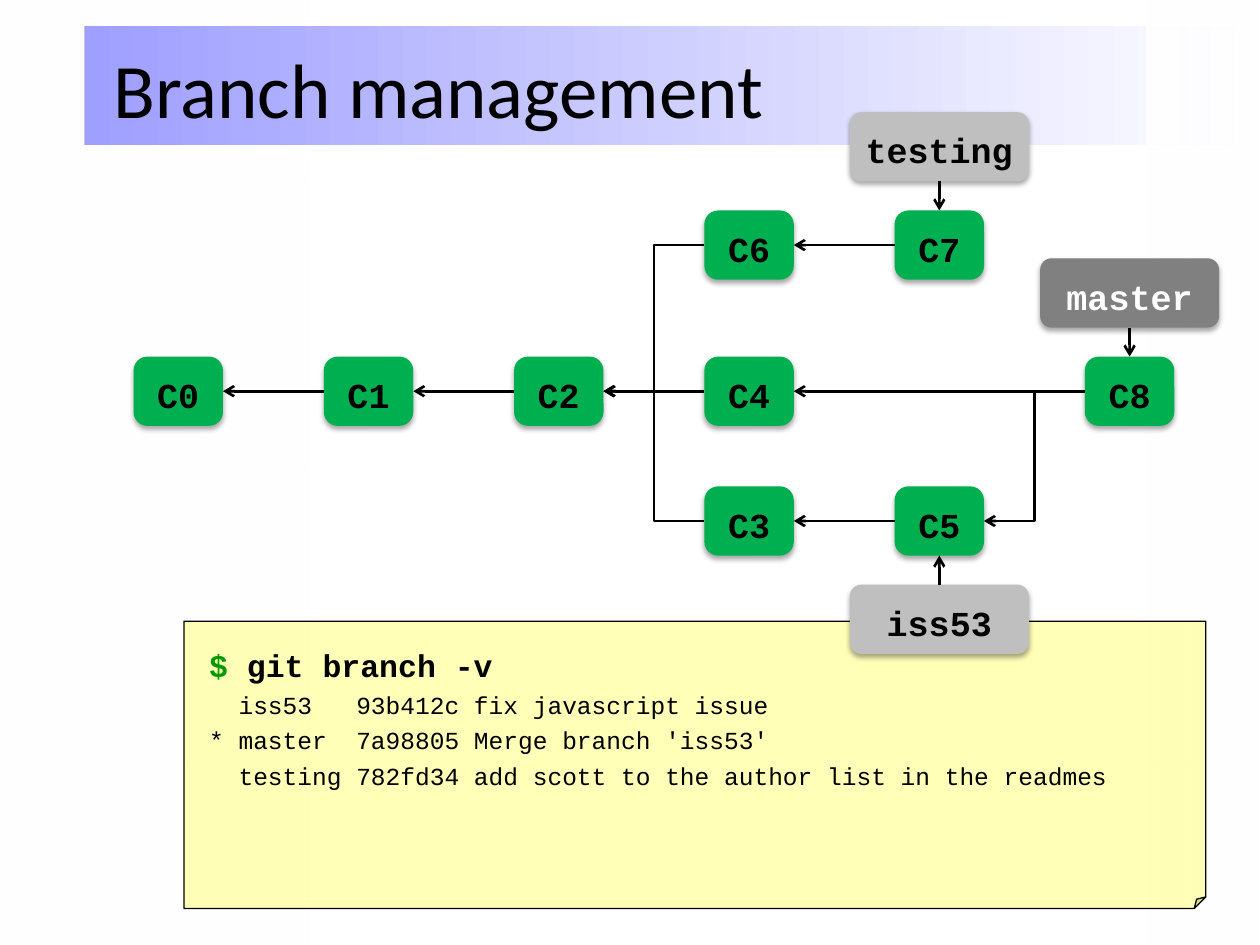
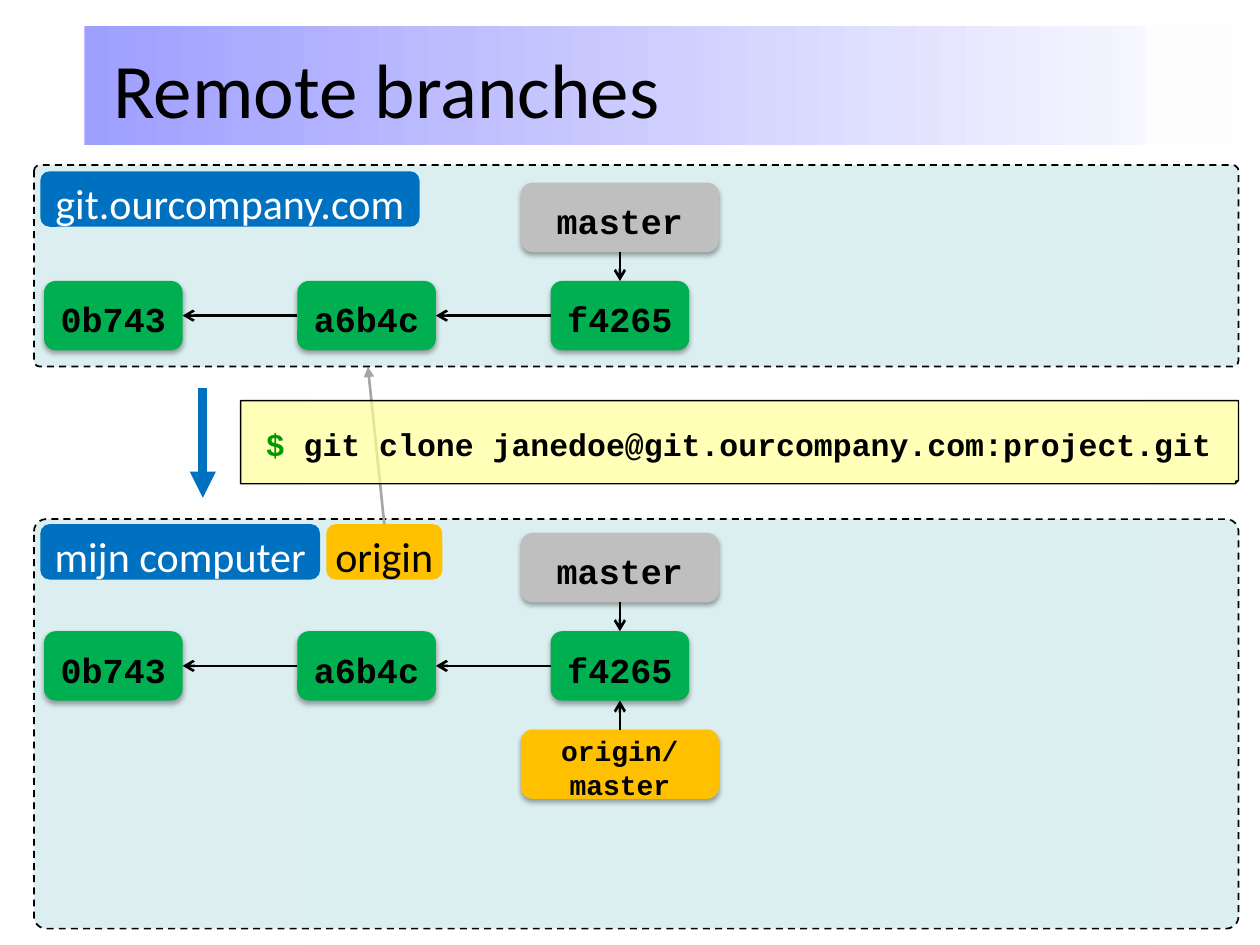
from dataclasses import dataclass
from typing import NamedTuple, Optional

from lxml import etree
from pptx import Presentation
from pptx.dml.color import RGBColor
from pptx.enum.dml import MSO_LINE
from pptx.enum.shapes import MSO_CONNECTOR, MSO_SHAPE
from pptx.enum.text import MSO_ANCHOR, PP_ALIGN
from pptx.oxml.ns import qn
from pptx.util import Emu, Inches, Pt

# Enum members
RECTANGLE = MSO_SHAPE.RECTANGLE
ROUNDED = MSO_SHAPE.ROUNDED_RECTANGLE
FOLDED = MSO_SHAPE.FOLDED_CORNER
STRAIGHT, ELBOW = MSO_CONNECTOR.STRAIGHT, MSO_CONNECTOR.ELBOW
LEFT_ALIGN, CENTER_ALIGN = PP_ALIGN.LEFT, PP_ALIGN.CENTER
TOP_ANCHOR, MIDDLE_ANCHOR = MSO_ANCHOR.TOP, MSO_ANCHOR.MIDDLE
DASH = MSO_LINE.DASH
TOP, LEFT, BOTTOM, RIGHT = range(4)

# Colours and fonts
BLACK = RGBColor(0x00, 0x00, 0x00)
WHITE = RGBColor(0xFF, 0xFF, 0xFF)
LAVENDER = RGBColor(0x9F, 0x9F, 0xFF)
GREEN = RGBColor(0x00, 0xB0, 0x50)
PROMPT_GREEN = RGBColor(0x00, 0x99, 0x00)
DARK_GREY = RGBColor(0x80, 0x80, 0x80)
MID_GREY = RGBColor(0xA6, 0xA6, 0xA6)
LIGHT_GREY = RGBColor(0xBF, 0xBF, 0xBF)
BLUE = RGBColor(0x00, 0x70, 0xC0)
ORANGE = RGBColor(0xFF, 0xC0, 0x00)
PALE_YELLOW = RGBColor(0xFF, 0xFF, 0x99)
PALE_TEAL = RGBColor(0xBB, 0xE0, 0xE3)
SANS, MONO = "Calibri", "Courier New"

# Shared measures, in inches
SLIDE_WIDTH, SLIDE_HEIGHT = 10, 7.5
NODE_HEIGHT = 0.55
REF_GAP = 0.23
PANEL_LEFT, PANEL_WIDTH = 0.27, 9.56


class Area(NamedTuple):
    left: float
    top: float
    width: float
    height: float


class Band(NamedTuple):
    area: Area
    start: RGBColor
    end: RGBColor
    clear_stop: Optional[int]


@dataclass(frozen=True)
class BoxStyle:
    fill: RGBColor
    ink: RGBColor = BLACK
    font: str = MONO
    size: int = 20
    bold: bool = True
    shadow: bool = True
    wrap: bool = True
    align: PP_ALIGN = CENTER_ALIGN
    top_inset: float = 0.1


@dataclass(frozen=True)
class CommitGrid:
    left: float
    pitch: float
    commit_width: float
    ref_width: float
    corner: Optional[float] = None

    def commit(self, column: int, top: float) -> Area:
        return Area(self.left + column * self.pitch, top, self.commit_width, NODE_HEIGHT)

    def ref(self, column: int, commit_top: float, above: bool) -> Area:
        """Place a branch label above or below the commit it points to."""
        left = self.left + column * self.pitch + (self.commit_width - self.ref_width) / 2
        step = NODE_HEIGHT + REF_GAP
        return Area(left, commit_top + (-step if above else step), self.ref_width, NODE_HEIGHT)


BANDS = (
    Band(Area(0, 0, 2.45, SLIDE_HEIGHT), WHITE, WHITE, 0),
    Band(Area(0.67, 0.21, 9.33, 0.94), LAVENDER, WHITE, None),
    Band(Area(9.1, 0, 0.89, SLIDE_HEIGHT), WHITE, WHITE, 1),
)
COMMIT = BoxStyle(GREEN)
BRANCH = BoxStyle(LIGHT_GREY)
CURRENT_BRANCH = BoxStyle(DARK_GREY, WHITE)
REMOTE_BRANCH = BoxStyle(ORANGE, size=16)
HOST = BoxStyle(BLUE, WHITE, SANS, 24, False, False, False, top_inset=0.11)
SERVER = BoxStyle(BLUE, WHITE, SANS, 24, False, False, False, LEFT_ALIGN, 0.11)
REMOTE = BoxStyle(ORANGE, BLACK, SANS, 24, False, False, False, top_inset=0.11)


# Drawing helpers
def set_alpha(shape, percent: int, index: int = 0) -> None:
    color = list(shape.element.spPr.iter(qn("a:srgbClr")))[index]
    etree.SubElement(color, qn("a:alpha"), val=str(percent * 1000))


def set_corner(shape, share: float) -> None:
    """Set the corner size in XML, since folded corners expose no adjustments."""
    guides = next(shape.element.spPr.iter(qn("a:avLst")))
    for guide in list(guides):
        guides.remove(guide)
    etree.SubElement(guides, qn("a:gd"), name="adj", fmla=f"val {round(share * 100000)}")


def add_soft_shadow(shape) -> None:
    effects = shape.element.spPr.find(qn("a:effectLst"))
    shadow = etree.SubElement(effects, qn("a:outerShdw"), blurRad=str(Pt(3.1)),
                              dist=str(Pt(1.8)), dir="5400000", rotWithShape="0")
    color = etree.SubElement(shadow, qn("a:srgbClr"), val=str(BLACK))
    etree.SubElement(color, qn("a:alpha"), val="35000")


def add_plain_shape(page, kind, area: Area, corner: Optional[float] = None):
    shape = page.shapes.add_shape(kind, *(Inches(length) for length in area))
    shape.shadow.inherit = False
    shape.line.fill.background()
    if corner is not None:
        set_corner(shape, corner)
    return shape


def add_tinted_shape(page, kind, area: Area, corner: float, fill: RGBColor,
                     opacity: int, line_width: float):
    shape = add_plain_shape(page, kind, area, corner)
    shape.fill.solid()
    shape.fill.fore_color.rgb = fill
    set_alpha(shape, opacity)
    shape.line.color.rgb = BLACK
    shape.line.width = Pt(line_width)
    return shape


def add_span(para, text: str, font: str, size: int, color: RGBColor, bold: bool) -> None:
    span = para.add_run()
    span.text = text
    span.font.name, span.font.size, span.font.bold = font, Pt(size), bold
    span.font.color.rgb = color


def add_box(page, text: str, area: Area, style: BoxStyle, corner: Optional[float] = None):
    box = add_plain_shape(page, ROUNDED, area, corner)
    box.fill.solid()
    box.fill.fore_color.rgb = style.fill
    if style.shadow:
        add_soft_shadow(box)
    frame = box.text_frame
    frame.word_wrap = style.wrap
    frame.vertical_anchor = MIDDLE_ANCHOR
    frame.margin_left = frame.margin_right = Inches(0.1)
    frame.margin_top, frame.margin_bottom = Inches(style.top_inset), Inches(0.05)
    para = frame.paragraphs[0]
    para.alignment = style.align
    for number, line in enumerate(text.split("\n")):
        if number:
            para.add_line_break()
        add_span(para, line, style.font, style.size, style.ink, style.bold)
    return box


def add_terminal(page, area: Area, command: str, output: tuple[str, ...] = ()) -> None:
    """Draw a yellow note with a shell command and what it prints."""
    note = add_tinted_shape(page, FOLDED, area, 0.04, PALE_YELLOW, 70, 0.75)
    frame = note.text_frame
    frame.word_wrap = False
    frame.vertical_anchor = TOP_ANCHOR
    frame.margin_left = frame.margin_right = frame.margin_bottom = Inches(0.2)
    frame.margin_top = Inches(0.24)
    para = frame.paragraphs[0]
    add_span(para, "$ ", MONO, 18, PROMPT_GREEN, True)
    add_span(para, command, MONO, 18, BLACK, True)
    for line in output:
        para = frame.add_paragraph()
        para.space_before = Pt(3)
        add_span(para, line, MONO, 14, BLACK, False)
    for para in frame.paragraphs:
        para.alignment = LEFT_ALIGN
        para.line_spacing = 0.85
        para.space_after = Pt(3)


def add_panel(page, top: float, height: float) -> None:
    panel = add_tinted_shape(page, ROUNDED, Area(PANEL_LEFT, top, PANEL_WIDTH, height),
                             0.03, PALE_TEAL, 50, 1)
    panel.line.dash_style = DASH


def side_point(box, side: int) -> tuple[Emu, Emu]:
    across = {LEFT: 0, RIGHT: box.width}.get(side, box.width // 2)
    down = {TOP: 0, BOTTOM: box.height}.get(side, box.height // 2)
    return Emu(box.left + across), Emu(box.top + down)


def add_line(page, start, end, kind=STRAIGHT, color: RGBColor = BLACK,
             width: float = 1.5, head: str = "arrow"):
    line = page.shapes.add_connector(kind, *start, *end)
    line.line.color.rgb = color
    line.line.width = Pt(width)
    properties = line.element.spPr
    etree.SubElement(properties.find(qn("a:ln")), qn("a:tailEnd"), type=head)
    etree.SubElement(properties, qn("a:effectLst"))
    return line


def add_arrow(page, source, target, from_side: int = LEFT, to_side: int = RIGHT,
              kind=STRAIGHT) -> None:
    line = add_line(page, side_point(source, from_side), side_point(target, to_side), kind)
    if kind == STRAIGHT:
        line.begin_connect(source, from_side)
        line.end_connect(target, to_side)


def add_ref(page, grid: CommitGrid, name: str, style: BoxStyle, commit, column: int,
            commit_top: float, above: bool = True) -> None:
    ref = add_box(page, name, grid.ref(column, commit_top, above), style)
    sides = (BOTTOM, TOP) if above else (TOP, BOTTOM)
    add_arrow(page, ref, commit, *sides)


# Shared look: bands live on the layout, behind the title
def move_bands_to_layout(page, layout) -> None:
    for position, band in enumerate(BANDS, start=2):
        shape = add_plain_shape(page, RECTANGLE, band.area)
        shape.fill.gradient()
        shape.fill.gradient_angle = 0
        for stop, color, place in zip(shape.fill.gradient_stops, (band.start, band.end), (0, 1)):
            stop.color.rgb = color
            stop.position = place
        if band.clear_stop is not None:
            set_alpha(shape, 38, band.clear_stop)
        layout.shapes.element.insert(position, shape.element)


def add_page(deck, title: str):
    page = deck.slides.add_slide(deck.slide_layouts[5])
    box = page.shapes.title
    box.left, box.top, box.width, box.height = (Inches(n) for n in (0.8, 0.07, 8.11, 1.25))
    box.text_frame.vertical_anchor = MIDDLE_ANCHOR
    para = box.text_frame.paragraphs[0]
    para.alignment = LEFT_ALIGN
    add_span(para, title, SANS, 44, BLACK, False)
    return page


# Slide 1: commit graph with three branches
def draw_branch_management(page) -> None:
    add_terminal(page, Area(1.46, 4.93, 8.11, 2.28), "git branch -v", (
        "  iss53   93b412c fix javascript issue",
        "* master  7a98805 Merge branch 'iss53'",
        "  testing 782fd34 add scott to the author list in the readmes",
    ))
    grid = CommitGrid(left=1.06, pitch=1.51, commit_width=0.71, ref_width=1.42, corner=0.2)
    upper, middle, lower = 1.67, 2.83, 3.86
    places = {"C0": (0, middle), "C1": (1, middle), "C2": (2, middle), "C4": (3, middle),
              "C8": (5, middle), "C3": (3, lower), "C5": (4, lower),
              "C6": (3, upper), "C7": (4, upper)}
    commits = {name: add_box(page, name, grid.commit(*place), COMMIT, grid.corner)
               for name, place in places.items()}
    for child, parent in (("C1", "C0"), ("C2", "C1"), ("C4", "C2"), ("C8", "C4"),
                          ("C5", "C3"), ("C7", "C6"), ("C3", "C2"), ("C6", "C2"),
                          ("C8", "C5")):
        same_row = places[child][1] == places[parent][1]
        add_arrow(page, commits[child], commits[parent], kind=STRAIGHT if same_row else ELBOW)
    for name, style, target, above in (("master", CURRENT_BRANCH, "C8", True),
                                       ("iss53", BRANCH, "C5", False),
                                       ("testing", BRANCH, "C7", True)):
        add_ref(page, grid, name, style, commits[target], *places[target], above)


# Slide 2: server and local clone
def draw_history(page, grid: CommitGrid, top: float):
    commits = [add_box(page, name, grid.commit(column, top), COMMIT)
               for column, name in enumerate(("0b743", "a6b4c", "f4265"))]
    for parent, child in zip(commits, commits[1:]):
        add_arrow(page, child, parent)
    add_ref(page, grid, "master", BRANCH, commits[-1], 2, top)
    return commits[-1]


def draw_remote_branches(page) -> None:
    grid = CommitGrid(left=0.35, pitch=2.01, commit_width=1.1, ref_width=1.57)
    server_top, local_top = 2.23, 5.01
    add_panel(page, 4.12, 3.25)
    latest = draw_history(page, grid, local_top)
    add_ref(page, grid, "origin/\nmaster", REMOTE_BRANCH, latest, 2, local_top, above=False)
    add_box(page, "mijn computer", Area(0.32, 4.16, 2.22, 0.44), HOST)
    origin = add_box(page, "origin", Area(2.59, 4.16, 0.92, 0.44), REMOTE)
    link = add_line(page, side_point(origin, TOP), (Inches(2.92), Inches(2.91)),
                    color=MID_GREY, head="triangle")
    link.begin_connect(origin, TOP)
    add_panel(page, 1.31, 1.6)
    add_box(page, "git.ourcompany.com", Area(0.32, 1.36, 3.01, 0.44), SERVER)
    draw_history(page, grid, server_top)
    add_line(page, (Inches(1.61), Inches(3.08)), (Inches(1.61), Inches(3.95)),
             color=BLUE, width=5, head="triangle")
    add_terminal(page, Area(1.91, 3.18, 7.92, 0.66),
                 "git clone janedoe@git.ourcompany.com:project.git")


def main() -> None:
    deck = Presentation()
    deck.slide_width, deck.slide_height = Inches(SLIDE_WIDTH), Inches(SLIDE_HEIGHT)
    page = add_page(deck, "Branch management")
    move_bands_to_layout(page, page.slide_layout)
    draw_branch_management(page)
    draw_remote_branches(add_page(deck, "Remote branches"))
    deck.save("out.pptx")


if __name__ == "__main__":
    main()
